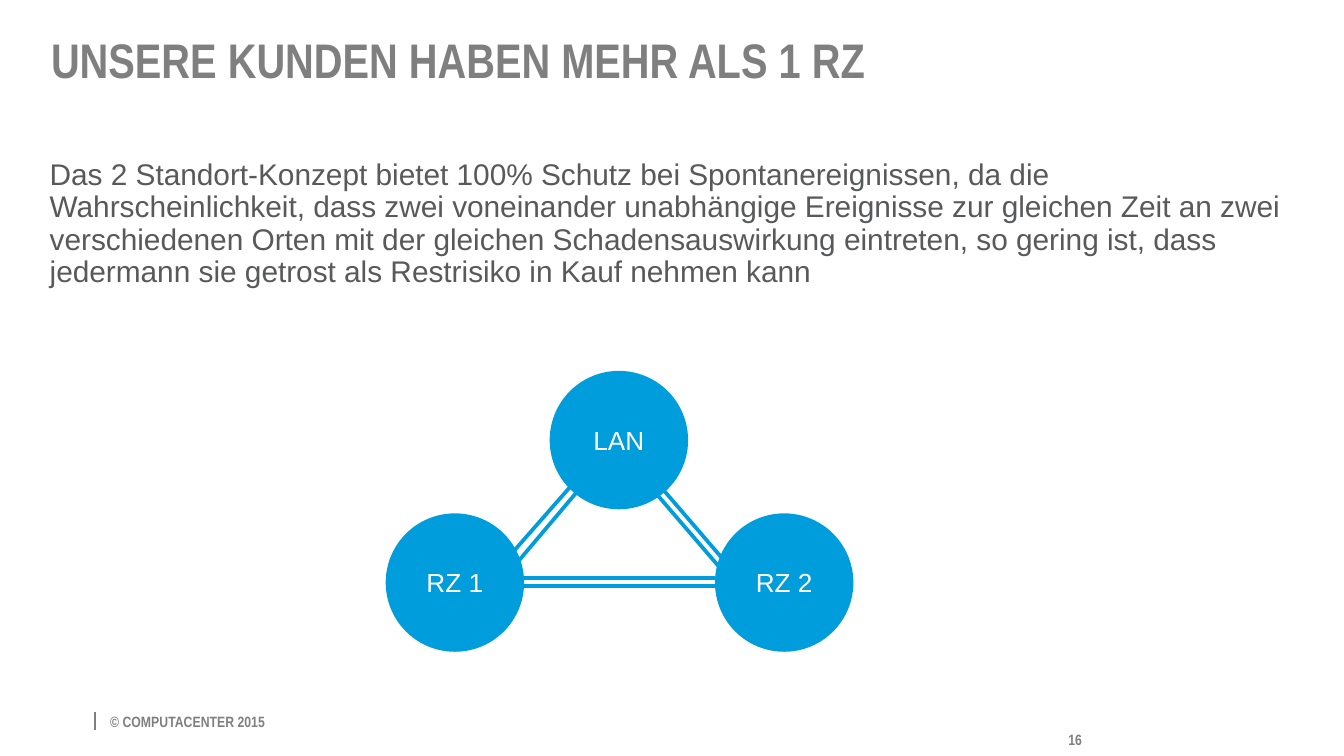
from lxml.etree import SubElement
from pptx import Presentation
from pptx.dml.color import RGBColor
from pptx.enum.shapes import MSO_CONNECTOR, MSO_SHAPE
from pptx.enum.text import MSO_ANCHOR, PP_ALIGN
from pptx.oxml.ns import qn
from pptx.util import Inches, Pt

GREY = RGBColor(0x7F, 0x7F, 0x7F)
DARK_GREY = RGBColor(0x58, 0x59, 0x5B)
BLUE = RGBColor(0x00, 0x9D, 0xDC)
WHITE = RGBColor(0xFF, 0xFF, 0xFF)

HEADING_FONT = {"name": "Arial Narrow", "size": Pt(26), "bold": True}
BODY_FONT = {"name": "Arial", "size": Pt(16)}
NODE_FONT = {"name": "Arial", "size": Pt(14)}
FOOTER_FONT = {"name": "Arial Narrow", "size": Pt(8), "bold": True}

BODY_TEXT = (
    "Das 2 Standort-Konzept bietet 100% Schutz bei Spontanereignissen, da die "
    "Wahrscheinlichkeit, dass zwei voneinander unabhängige Ereignisse zur gleichen "
    "Zeit an zwei verschiedenen Orten mit der gleichen Schadensauswirkung eintreten, "
    "so gering ist, dass jedermann sie getrost als Restrisiko in Kauf nehmen kann"
)

NODE_SIZE = 1.03


def write_text(shape, text, font, color):
    paragraph = shape.text_frame.paragraphs[0]
    paragraph.text = text
    for name, value in font.items():
        setattr(paragraph.font, name, value)
    paragraph.font.color.rgb = color
    return paragraph


def add_text(slide, box, text, font, color, anchor=MSO_ANCHOR.TOP, margins=(0.07, 0.04)):
    shape = slide.shapes.add_textbox(*map(Inches, box))
    frame = shape.text_frame
    frame.word_wrap = True
    frame.vertical_anchor = anchor
    frame.margin_left = frame.margin_right = Inches(margins[0])
    frame.margin_top = frame.margin_bottom = Inches(margins[1])
    return write_text(shape, text, font, color)


def add_line(slide, start, end, color, width):
    line = slide.shapes.add_connector(
        MSO_CONNECTOR.STRAIGHT, *map(Inches, (*start, *end)))
    line.line.color.rgb = color
    line.line.width = Pt(width)
    SubElement(line._element.spPr, qn("a:effectLst"))


def add_node(slide, left, top, label):
    node = slide.shapes.add_shape(
        MSO_SHAPE.OVAL, *map(Inches, (left, top, NODE_SIZE, NODE_SIZE)))
    node.shadow.inherit = False
    node.fill.solid()
    node.fill.fore_color.rgb = BLUE
    node.line.fill.background()
    node.text_frame.vertical_anchor = MSO_ANCHOR.MIDDLE
    write_text(node, label, NODE_FONT, WHITE).alignment = PP_ALIGN.CENTER


def add_header(slide, left, top, width):
    # Title
    title = add_text(slide, (left, top, width, 1.18),
                     "UNSERE KUNDEN HABEN MEHR ALS 1 RZ", HEADING_FONT, GREY)
    title.line_spacing = 0.9


def add_body(slide, left, top, width, height):
    # Statement
    body = add_text(slide, (left, top, width, height), BODY_TEXT, BODY_FONT,
                    DARK_GREY, MSO_ANCHOR.MIDDLE, (0.06, 0.06))
    body.line_spacing = 0.9


def add_network(slide, left, top):
    # Nodes: two data centres below, the network above
    for x, y, label in ((0, 1.06, "RZ 1"), (2.45, 1.06, "RZ 2"), (1.22, 0, "LAN")):
        add_node(slide, left + x, top + y, label)

    # Double links, each as start and end of its two lines
    links = (
        (1.03, 1.54, 2.45, 1.54), (1.03, 1.60, 2.45, 1.60),
        (0.91, 1.39, 1.41, 0.82), (0.95, 1.46, 1.44, 0.88),
        (2.01, 0.82, 2.50, 1.39), (2.01, 0.91, 2.50, 1.48),
    )
    for x1, y1, x2, y2 in links:
        add_line(slide, (left + x1, top + y1), (left + x2, top + y2), BLUE, 2)


def add_footer(slide, left, top):
    # Separator, copyright and page number
    add_line(slide, (left, top + 0.04), (left, top + 0.17), GREY, 1)
    add_text(slide, (left + 0.04, top, 8.16, 0.21), "© COMPUTACENTER 2015",
             FOOTER_FONT, GREY)
    add_text(slide, (left + 7.17, top + 0.13, 0.76, 0.22), "16", FOOTER_FONT, GREY,
             MSO_ANCHOR.MIDDLE)


def main():
    presentation = Presentation()
    presentation.slide_width = Inches(10)
    presentation.slide_height = Inches(10 * 9 / 16)
    slide = presentation.slides.add_slide(presentation.slide_layouts[6])

    add_header(slide, 0.31, 0.23, 8.59)
    add_body(slide, 0.31, 1.05, 9.45, 1.24)
    add_network(slide, 2.87, 2.76)
    add_footer(slide, 0.71, 5.26)

    presentation.save("out.pptx")


if __name__ == "__main__":
    main()
